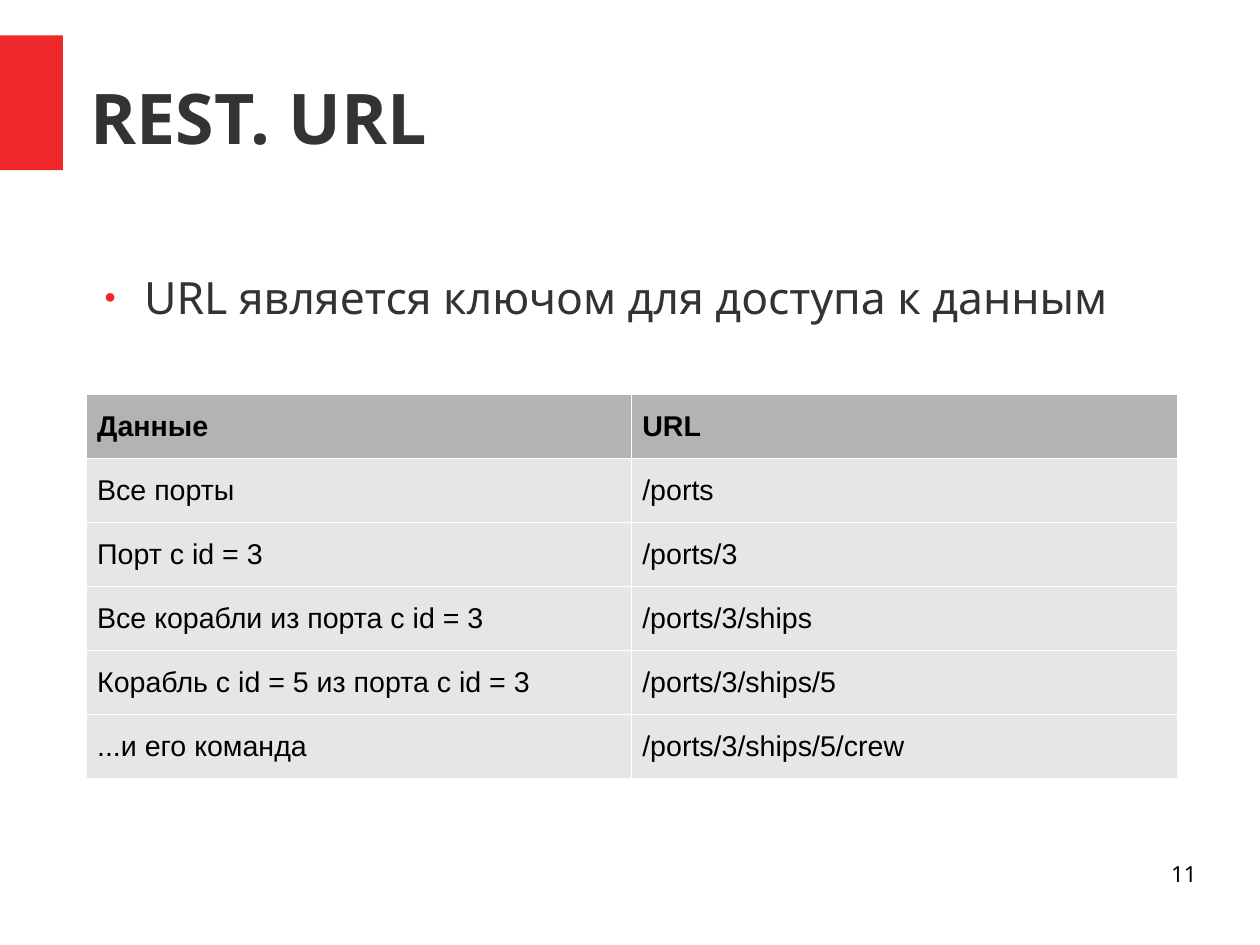
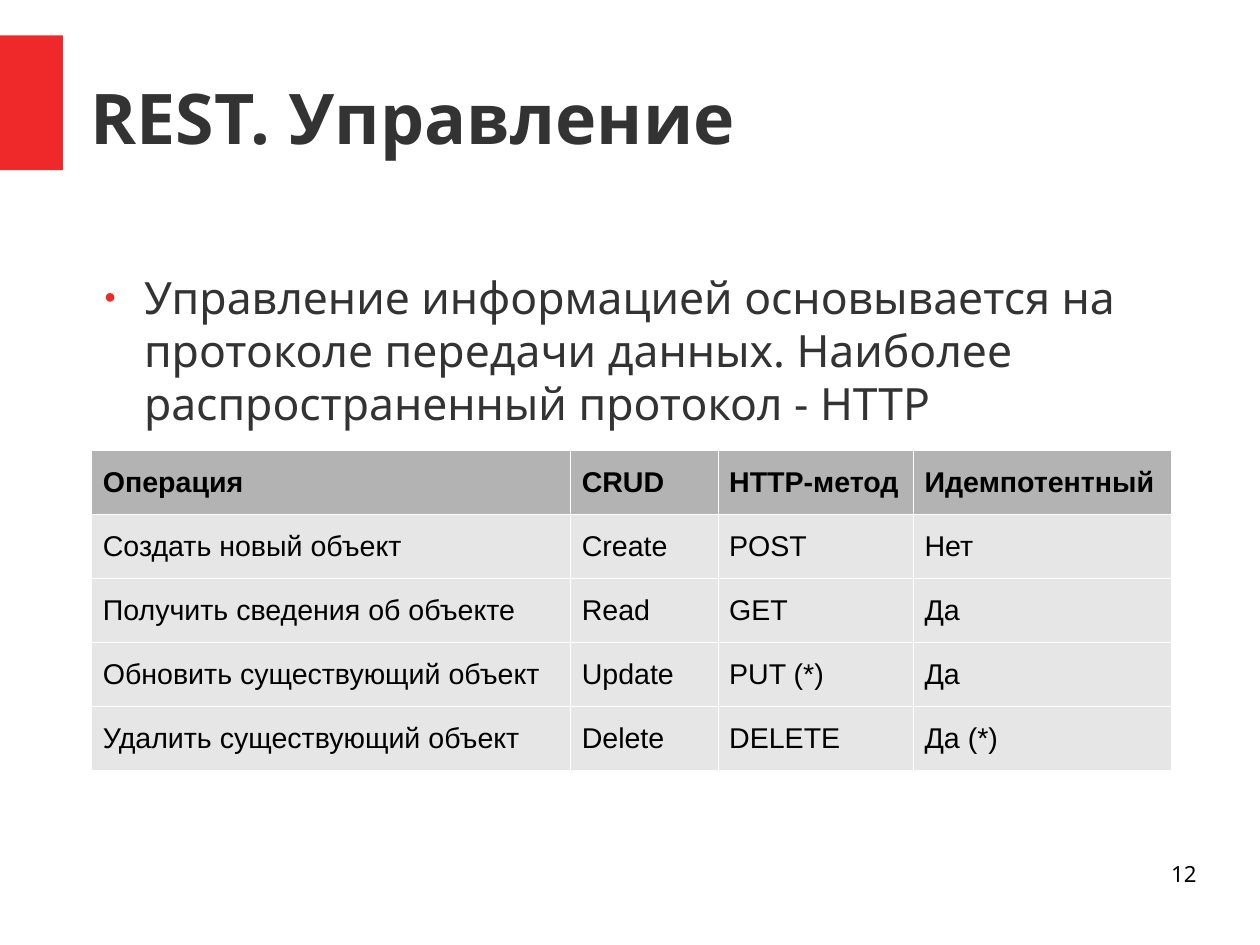
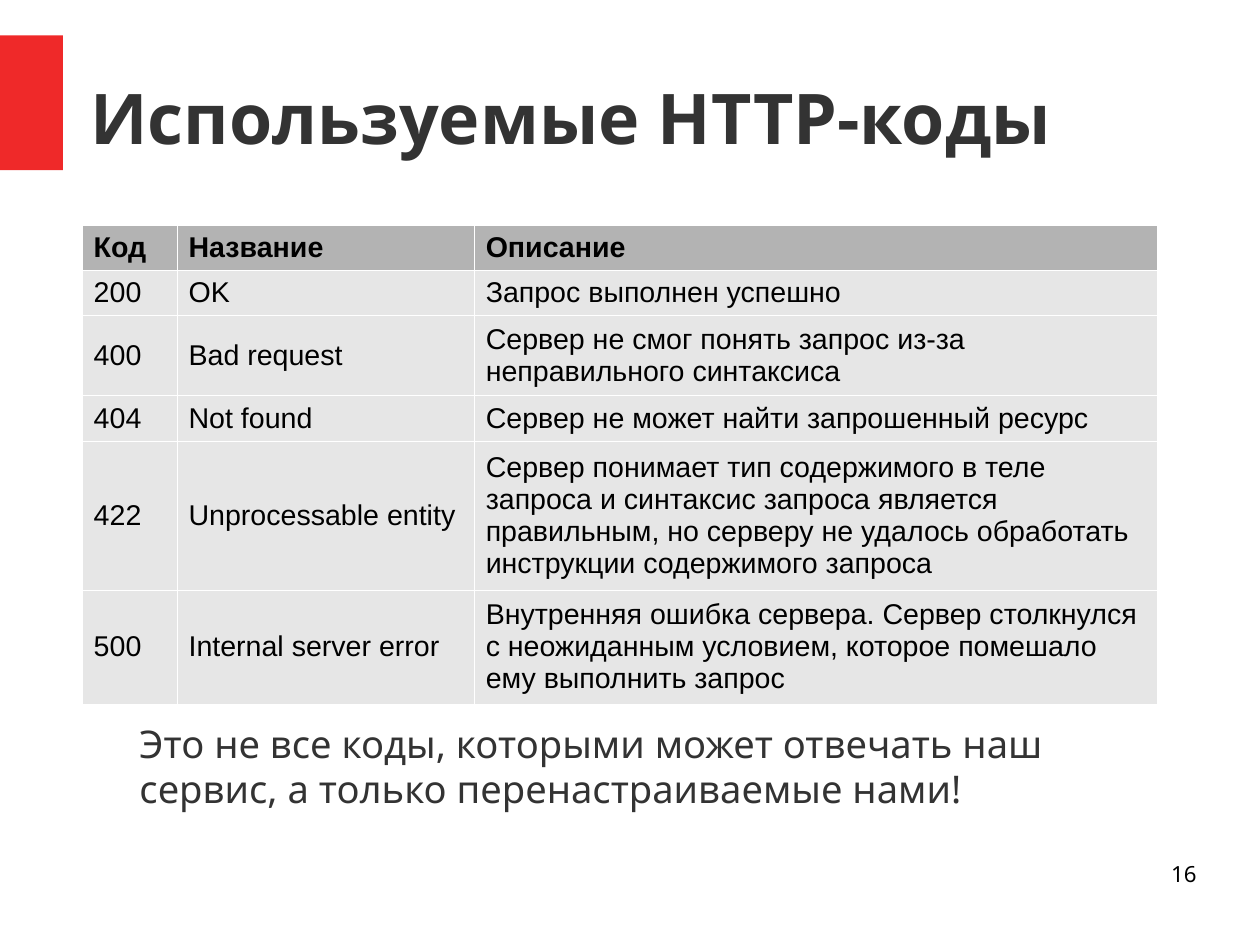
from lxml.etree import SubElement
from pptx import Presentation
from pptx.dml.color import RGBColor
from pptx.enum.shapes import MSO_SHAPE
from pptx.enum.text import MSO_ANCHOR, MSO_AUTO_SIZE, PP_ALIGN
from pptx.oxml.ns import qn
from pptx.util import Inches, Pt

CM_PER_INCH = 2.54
SLIDE_WIDTH, SLIDE_HEIGHT = 28 / CM_PER_INCH, 21 / CM_PER_INCH
RED, INK, BLACK, WHITE = "EF2929", "333333", "000000", "FFFFFF"
HEADER_GREY, ROW_GREY = "B3B3B3", "E6E6E6"
TEXT_FONT, TABLE_FONT = "Noto Sans", "Arial"
ROW_HEIGHT = 0.56
BORDER_WIDTH = Pt(0.06)
BULLET_BOX = (0.79, 2.36, 9.45, 4.8)

URL_ROWS = [
    ("Данные", "URL"),
    ("Все порты", "/ports"),
    ("Порт с id = 3", "/ports/3"),
    ("Все корабли из порта с id = 3", "/ports/3/ships"),
    ("Корабль с id = 5 из порта с id = 3", "/ports/3/ships/5"),
    ("...и его команда", "/ports/3/ships/5/crew"),
]
CRUD_ROWS = [
    ("Операция", "CRUD", "HTTP-метод", "Идемпотентный"),
    ("Создать новый объект", "Create", "POST", "Нет"),
    ("Получить сведения об объекте", "Read", "GET", "Да"),
    ("Обновить существующий объект", "Update", "PUT (*)", "Да"),
    ("Удалить существующий объект", "Delete", "DELETE", "Да (*)"),
]
CODE_ROWS = [
    ("Код", "Название", "Описание"),
    ("200", "OK", "Запрос выполнен успешно"),
    ("400", "Bad request",
     "Сервер не смог понять запрос из-за неправильного синтаксиса"),
    ("404", "Not found", "Сервер не может найти запрошенный ресурс"),
    ("422", "Unprocessable entity",
     "Сервер понимает тип содержимого в теле запроса и синтаксис запроса "
     "является правильным, но серверу не удалось обработать инструкции "
     "содержимого запроса"),
    ("500", "Internal server error",
     "Внутренняя ошибка сервера. Сервер столкнулся с неожиданным условием, "
     "которое помешало ему выполнить запрос"),
]


def color(value):
    return RGBColor.from_string(value)


def style(paragraph, font_name, size, ink, bold=False):
    font = paragraph.font
    font.name, font.size, font.bold = font_name, Pt(size), bold
    font.color.rgb = color(ink)


def fill_frame(shape, box, text, anchor=MSO_ANCHOR.TOP):
    """Place a text shape without insets and return its only paragraph."""
    shape.left, shape.top, shape.width, shape.height = map(Inches, box)
    frame = shape.text_frame
    frame.text = text
    frame.word_wrap = True
    frame.auto_size = MSO_AUTO_SIZE.NONE
    frame.vertical_anchor = anchor
    frame.margin_left = frame.margin_top = 0
    frame.margin_right = frame.margin_bottom = 0
    return frame.paragraphs[0]


def add_titled_slide(deck, title, number):
    slide = deck.slides.add_slide(deck.slide_layouts[1])
    band = slide.shapes.add_shape(
        MSO_SHAPE.RECTANGLE, *map(Inches, (0, 0.31, 0.55, 1.18)))
    band.shadow.inherit = False
    band.fill.solid()
    band.fill.fore_color.rgb = color(RED)
    band.line.fill.background()

    heading = fill_frame(slide.shapes.title, (0.79, 0.33, 9.68, 1.38), title,
                         MSO_ANCHOR.MIDDLE)
    heading.alignment = PP_ALIGN.LEFT
    style(heading, TEXT_FONT, 44, INK, bold=True)

    number_box = (7.9, 7.53, 2.57, 0.57)
    footer = slide.shapes.add_textbox(*map(Inches, number_box))
    page = fill_frame(footer, number_box, str(number))
    page.alignment = PP_ALIGN.RIGHT
    style(page, TEXT_FONT, 14, BLACK)
    return slide


def fill_body(slide, box, text, size, bullet):
    body = fill_frame(slide.placeholders[1], box, text)
    body.space_before, body.space_after = Pt(0), Pt(14.1)
    props = body._p.get_or_add_pPr()
    props.set("marL", str(Inches(0.47)))
    props.set("indent", str(Inches(-0.35) if bullet else 0))
    if bullet:
        tint = SubElement(props, qn("a:buClr"))
        SubElement(tint, qn("a:srgbClr"), val=RED)
        SubElement(props, qn("a:buSzPct"), val="45000")
        SubElement(props, qn("a:buChar"), char="●")
    else:
        SubElement(props, qn("a:buNone"))
    style(body, TEXT_FONT, size, INK)


def add_borders(cell):
    props = cell._tc.get_or_add_tcPr()
    for position, side in enumerate(("lnL", "lnR", "lnT", "lnB")):
        line = props.makeelement(qn(f"a:{side}"), {"w": str(BORDER_WIDTH)})
        solid = SubElement(line, qn("a:solidFill"))
        SubElement(solid, qn("a:srgbClr"), val=WHITE)
        props.insert(position, line)


def add_grid(slide, left, top, widths, heights, rows):
    table = slide.shapes.add_table(
        len(rows), len(widths), Inches(left), Inches(top),
        Inches(sum(widths)), Inches(sum(heights))).table
    table.horz_banding = False
    for column, width in zip(table.columns, widths):
        column.width = Inches(width)
    for index, (row, height, texts) in enumerate(zip(table.rows, heights, rows)):
        row.height = Inches(height)
        is_header = index == 0
        for cell, text in zip(row.cells, texts):
            cell.text = text
            cell.vertical_anchor = MSO_ANCHOR.MIDDLE
            cell.fill.solid()
            cell.fill.fore_color.rgb = color(HEADER_GREY if is_header else ROW_GREY)
            style(cell.text_frame.paragraphs[0], TABLE_FONT, 18, BLACK, is_header)
            add_borders(cell)


def add_rest_slide(deck, title, number, point, left, top, widths, rows):
    """Add a slide with one bullet and a table of equal rows."""
    slide = add_titled_slide(deck, title, number)
    fill_body(slide, BULLET_BOX, point, 28, bullet=True)
    add_grid(slide, left, top, widths, [ROW_HEIGHT] * len(rows), rows)


def add_codes_slide(deck):
    slide = add_titled_slide(deck, "Используемые HTTP-коды", 16)
    add_grid(slide, 0.72, 1.97, (0.83, 2.6, 5.97),
             (0.39, 0.4, 0.7, 0.4, 1.3, 1), CODE_ROWS)
    fill_body(slide, (0.75, 6.3, 9.45, 1),
              "Это не все коды, которыми может отвечать наш сервис, "
              "а только перенастраиваемые нами!", 24, bullet=False)


def main():
    deck = Presentation()
    deck.slide_width, deck.slide_height = Inches(SLIDE_WIDTH), Inches(SLIDE_HEIGHT)
    add_rest_slide(deck, "REST. URL", 11,
                   "URL является ключом для доступа к данным",
                   0.75, 3.45, (4.77, 4.78), URL_ROWS)
    add_rest_slide(deck, "REST. Управление", 12,
                   "Управление информацией основывается на протоколе передачи "
                   "данных. Наиболее распространенный протокол - HTTP",
                   0.8, 3.94, (4.19, 1.29, 1.71, 2.26), CRUD_ROWS)
    add_codes_slide(deck)
    deck.save("out.pptx")


if __name__ == "__main__":
    main()
